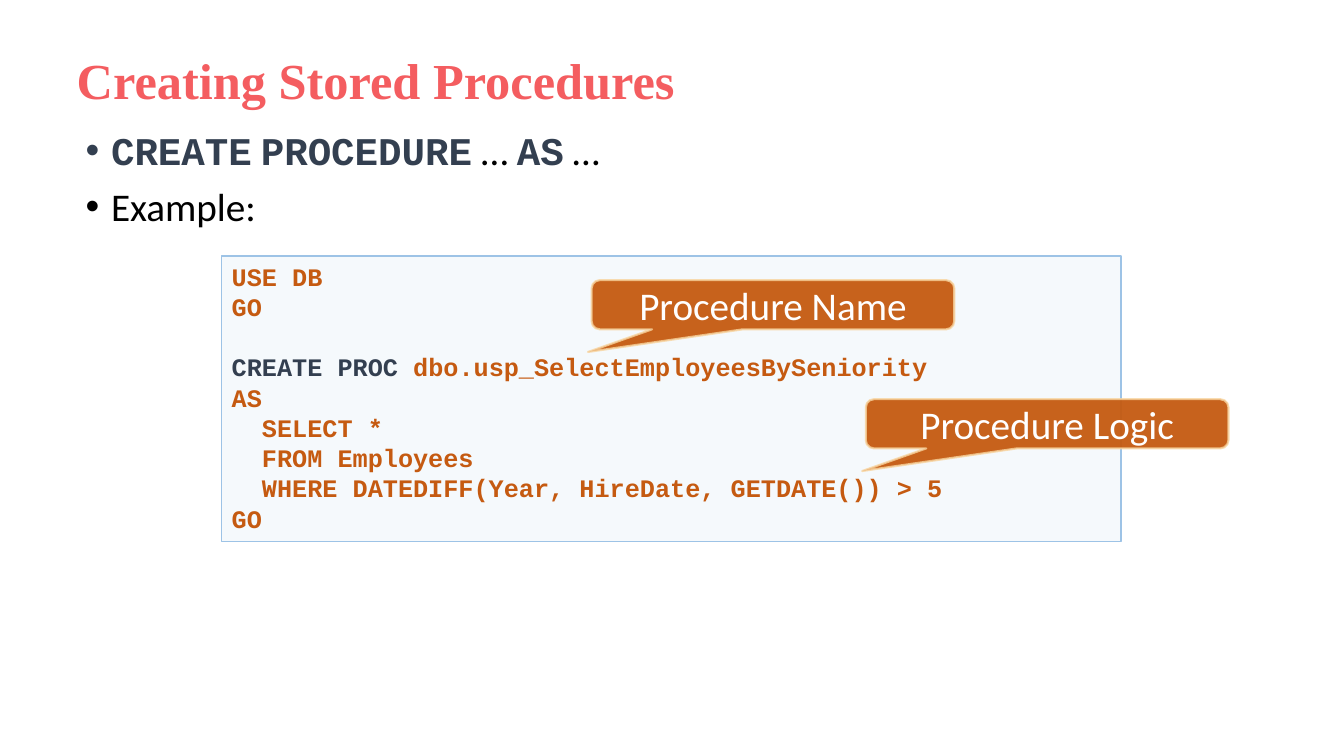
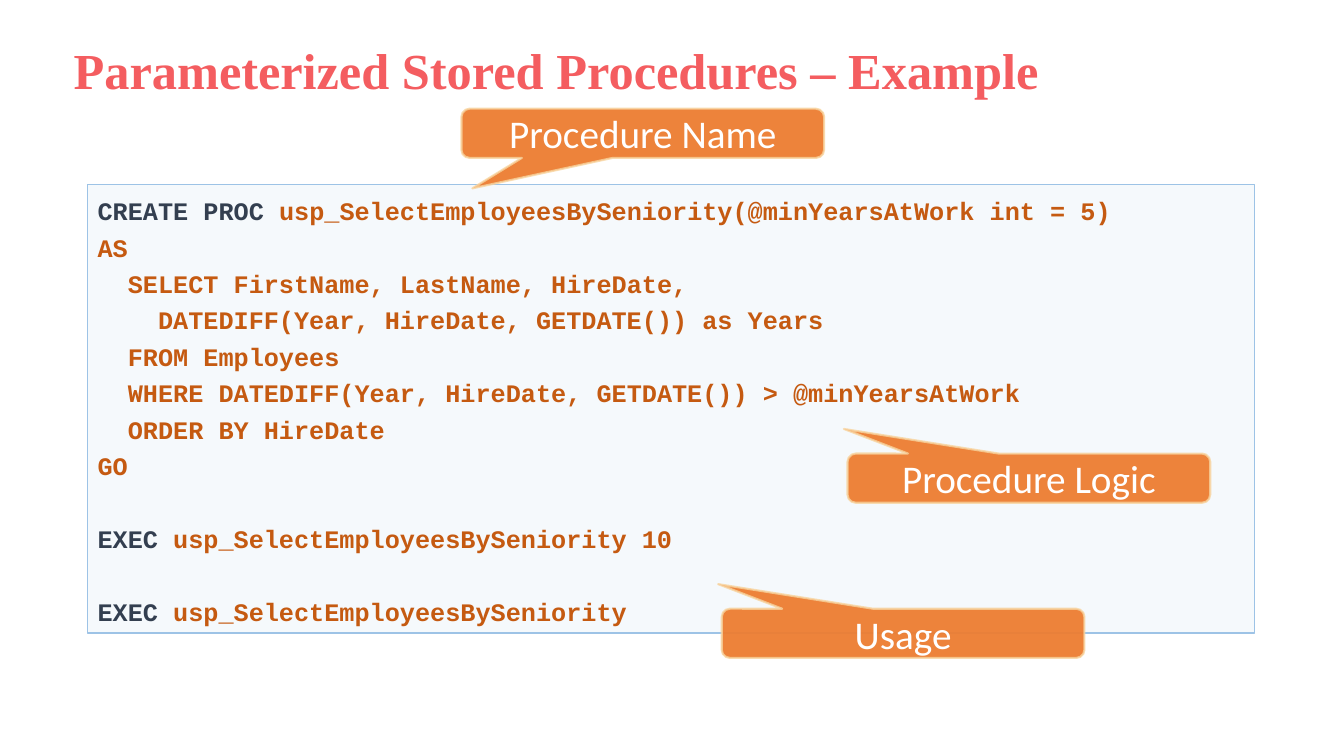
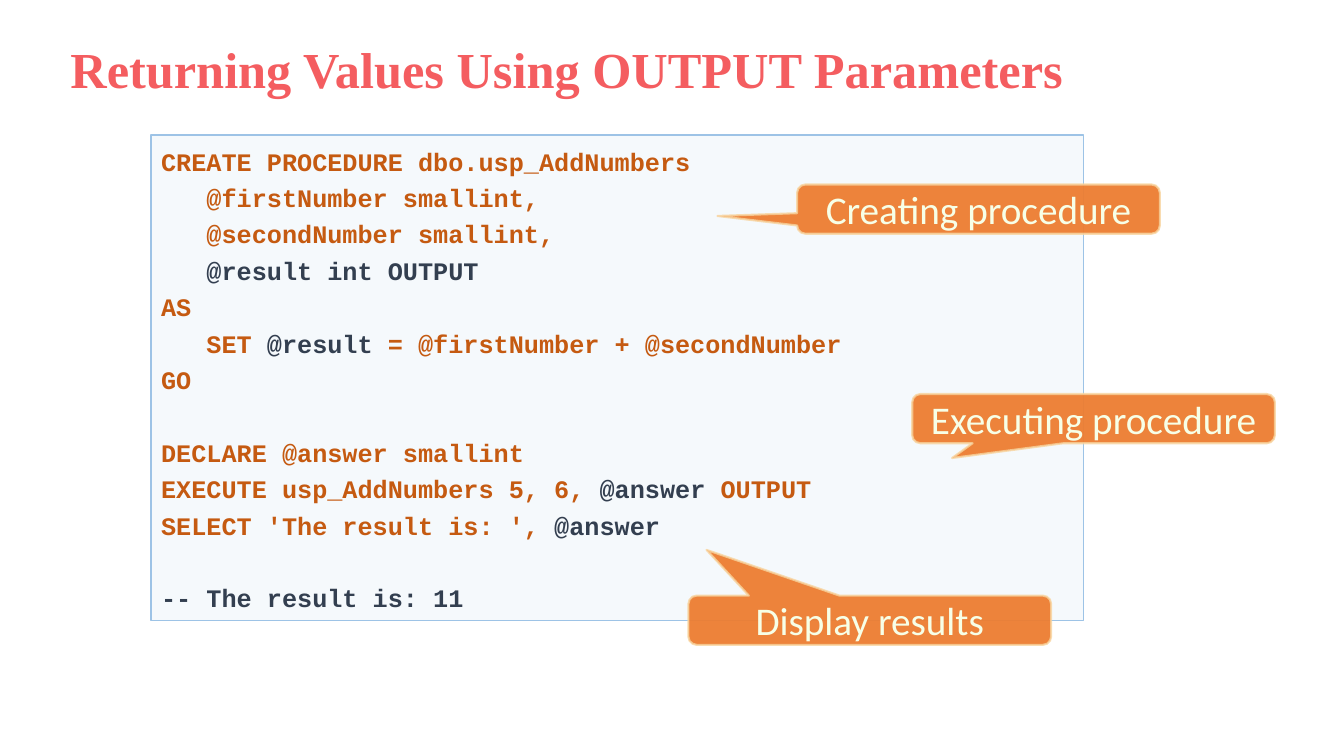
"""Build three slides on SQL stored procedures, with code boxes and callouts."""
import pptx
import pptx.dml.color
import pptx.enum.shapes
import pptx.enum.text
import pptx.oxml
import pptx.oxml.ns
import pptx.util

Cm, Pt = pptx.util.Cm, pptx.util.Pt
RGB = pptx.dml.color.RGBColor.from_string
SHAPE = pptx.enum.shapes.MSO_SHAPE
ALIGN = pptx.enum.text.PP_ALIGN
ANCHOR = pptx.enum.text.MSO_ANCHOR
qn = pptx.oxml.ns.qn

COLORS = {
    "title": "F45D60", "text": "000000", "code": "C55A11", "keyword": "333F50",
    "box": "BDD7EE", "box_line": "9DC3E6", "callout_line": "F8D49E",
    "rust": "C55A11", "orange": "ED7D31", "white": "FFFFFF", "cream": "F7FFE7",
}
FORMATS = {
    "title": {"name": "Times New Roman", "size": Pt(36), "bold": True},
    "body": {"name": "Calibri", "size": Pt(28), "bold": False},
    "body_code": {"name": "Courier New", "size": Pt(28), "bold": True},
    "code": {"name": "Courier New", "size": Pt(18), "bold": True},
}
CHAR_W = Pt(10.8)
CALLOUT_W, CALLOUT_H = Cm(9.14), Cm(1.24)


def add_text(p, text, plain, strong):
    """Add runs to p; stretches between bars take the strong style."""
    for i, part in enumerate(text.split("|")):
        if part:
            style, color = strong if i % 2 else plain
            r = p.add_run()
            r.text = part
            for key, value in FORMATS[style].items():
                setattr(r.font, key, value)
            r.font.color.rgb = RGB(COLORS[color])


def style_shape(sp, fill, fill_pct, line, line_pct, width):
    """Give sp a translucent fill and line, without a shadow."""
    sp.shadow.inherit = False
    sp.fill.solid()
    sp.fill.fore_color.rgb = RGB(COLORS[fill])
    sp.line.color.rgb = RGB(COLORS[line])
    sp.line.width = Pt(width)
    for clr, pct in zip(list(sp.element.spPr.iter(qn("a:srgbClr"))), (fill_pct, line_pct)):
        if pct < 100:
            pptx.oxml.parse_xml(
                f'<a:alpha {pptx.oxml.ns.nsdecls("a")} val="{pct * 1000}"/>'
            ).getparent()
            alpha = clr.makeelement(qn("a:alpha"), {"val": str(pct * 1000)})
            clr.append(alpha)


SLIDES = [
    {
        "title": "Creating Stored Procedures",
        "title_at": (1.68, 1.09, 29.21, 2.03),
        "bullets": ["|CREATE| |PROCEDURE| … |AS| …", "Example:"],
        "code_at": (5.59, 6.45, 22.66, 7.19),
        "line_pt": 21.6,
        "code": """USE DB
GO

|CREATE PROC |dbo.usp_SelectEmployeesBySeniority
AS
  SELECT *
  FROM Employees
  WHERE DATEDIFF(Year, HireDate, GETDATE()) > 5
GO""",
        "callout_style": ("rust", "white"),
        "callouts": [
            ("Procedure Name", 14.91, 7.06, -0.51, 0.96),
            ("Procedure Logic", 21.82, 10.06, -0.51, 0.96),
        ],
    },
    {
        "title": "Parameterized Stored Procedures – Example",
        "title_at": (1.6, 0.94, 29.21, 1.8),
        "bullets": [],
        "code_at": (2.21, 4.65, 29.41, 11.3),
        "line_pt": 26,
        "code": """|CREATE PROC |usp_SelectEmployeesBySeniority(@minYearsAtWork int = 5)
AS
  SELECT FirstName, LastName, HireDate,
    DATEDIFF(Year, HireDate, GETDATE()) as Years
  FROM Employees
  WHERE DATEDIFF(Year, HireDate, GETDATE()) > @minYearsAtWork
  ORDER BY HireDate
GO

|EXEC |usp_SelectEmployeesBySeniority 10

|EXEC |usp_SelectEmployeesBySeniority""",
        "callout_style": ("orange", "white"),
        "callouts": [
            ("Procedure Name", 11.63, 2.74, -0.47, 1.12),
            ("Procedure Logic", 21.36, 11.43, -0.51, -1),
            ("Usage", 18.19, 15.34, -0.51, -1),
        ],
    },
    {
        "title": "Returning Values Using OUTPUT Parameters",
        "title_at": (1.52, 0.89, 29.21, 1.85),
        "bullets": [],
        "code_at": (3.81, 3.4, 23.5, 12.24),
        "line_pt": 26,
        "code": """CREATE PROCEDURE dbo.usp_AddNumbers
   @firstNumber smallint,
   @secondNumber smallint,
   |@result int OUTPUT|
AS
   SET |@result |= @firstNumber + @secondNumber
GO

DECLARE @answer smallint
EXECUTE usp_AddNumbers 5, 6, |@answer |OUTPUT
SELECT 'The result is: ', |@answer|

|-- The result is: 11|""",
        "callout_style": ("orange", "cream"),
        "callouts": [
            ("Creating procedure", 20.09, 4.65, -0.72, 0.14),
            ("Executing procedure", 22.99, 9.93, -0.39, 0.8),
            ("Display results", 17.35, 15.01, -0.45, -1.43),
        ],
    },
]

prs = pptx.Presentation()
prs.slide_width, prs.slide_height = Cm(33.87), Cm(19.05)

for data in SLIDES:
    s = prs.slides.add_slide(prs.slide_layouts[5])

    title = s.shapes.title
    title.left, title.top, title.width, title.height = map(Cm, data["title_at"])
    tf = title.text_frame
    tf.vertical_anchor = ANCHOR.MIDDLE
    p = tf.paragraphs[0]
    p.alignment, p.line_spacing = ALIGN.LEFT, 0.9
    add_text(p, data["title"], ("title", "title"), ("title", "title"))

    if data["bullets"]:
        tf = s.shapes.add_textbox(Cm(1.91), Cm(3.18), Cm(29.21), Cm(3.1)).text_frame
        tf.word_wrap = True
        for i, text in enumerate(data["bullets"]):
            p = tf.add_paragraph() if i else tf.paragraphs[0]
            p.line_spacing, p.space_before = 0.9, Pt(10)
            pPr = p._p.get_or_add_pPr()
            pPr.set("marL", str(Cm(0.64)))
            pPr.set("indent", str(-Cm(0.64)))
            for tag, attrs in (("a:buFont", {"typeface": "Arial"}), ("a:buChar", {"char": "•"})):
                pPr.append(pPr.makeelement(qn(tag), attrs))
            add_text(p, text, ("body", "text"), ("body_code", "keyword"))

    sp = s.shapes.add_shape(SHAPE.RECTANGLE, *map(Cm, data["code_at"]))
    style_shape(sp, "box", 15, "box_line", 100, 1)
    tf = sp.text_frame
    tf.word_wrap, tf.vertical_anchor = True, ANCHOR.TOP
    p, gap = None, 0
    for line in data["code"].split("\n"):
        if not line:
            gap += data["line_pt"]
            continue
        p = tf.add_paragraph() if p else tf.paragraphs[0]
        p.alignment = ALIGN.LEFT
        p.line_spacing, p.space_before = Pt(data["line_pt"]), Pt(gap)
        code = line.lstrip()
        p._p.get_or_add_pPr().set("marL", str(CHAR_W * (len(line) - len(code))))
        add_text(p, code, ("code", "code"), ("code", "keyword"))
        gap = 0

    fill, color = data["callout_style"]
    for text, x, y, tip_x, tip_y in data["callouts"]:
        sp = s.shapes.add_shape(
            SHAPE.ROUNDED_RECTANGULAR_CALLOUT, Cm(x), Cm(y), CALLOUT_W, CALLOUT_H)
        sp.adjustments[0], sp.adjustments[1] = tip_x, tip_y
        style_shape(sp, fill, 95, "callout_line", 80, 1.5)
        tf = sp.text_frame
        tf.word_wrap, tf.vertical_anchor = True, ANCHOR.MIDDLE
        p = tf.paragraphs[0]
        p.alignment = ALIGN.CENTER
        add_text(p, text, ("body", color), ("body", color))

prs.save("out.pptx")
